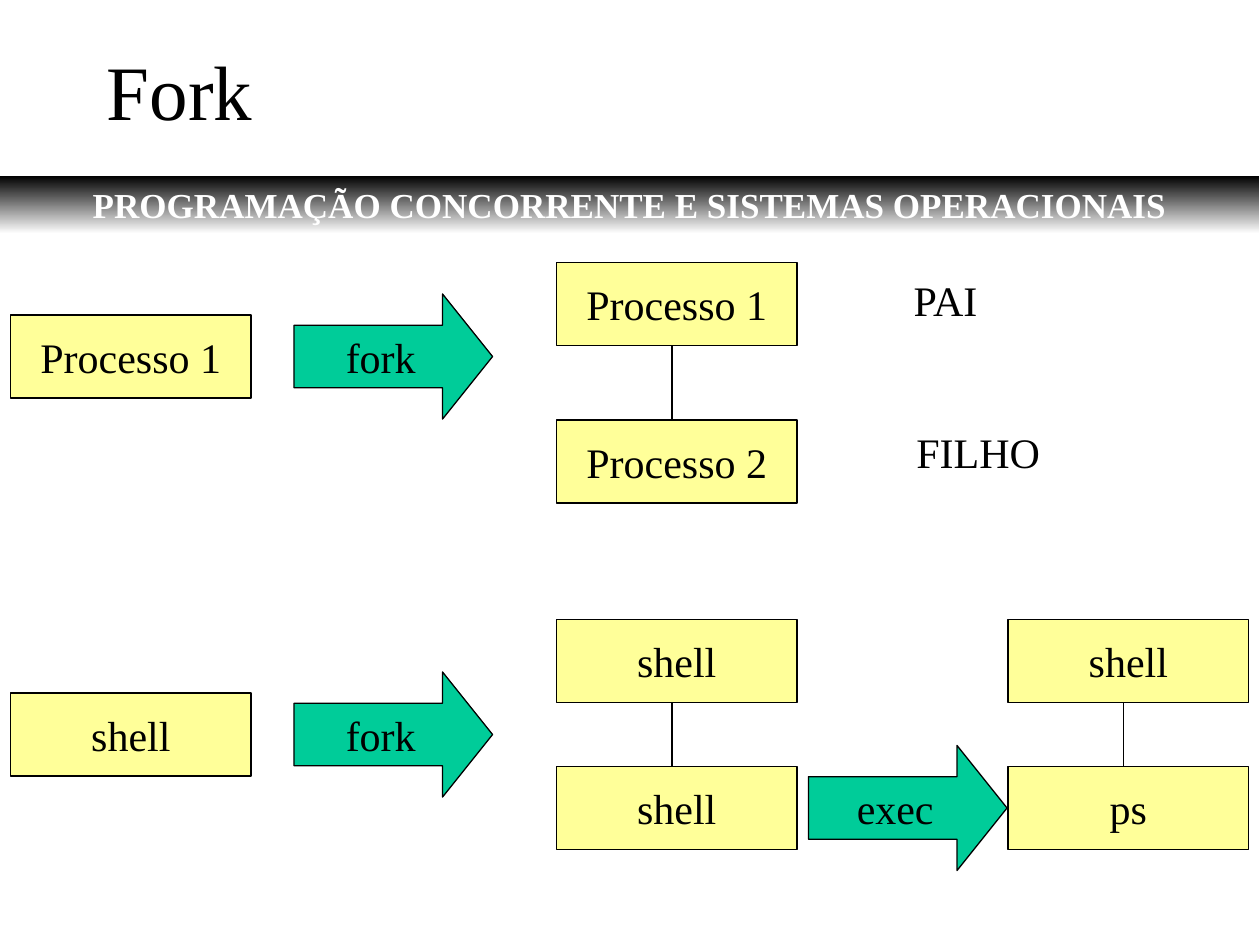
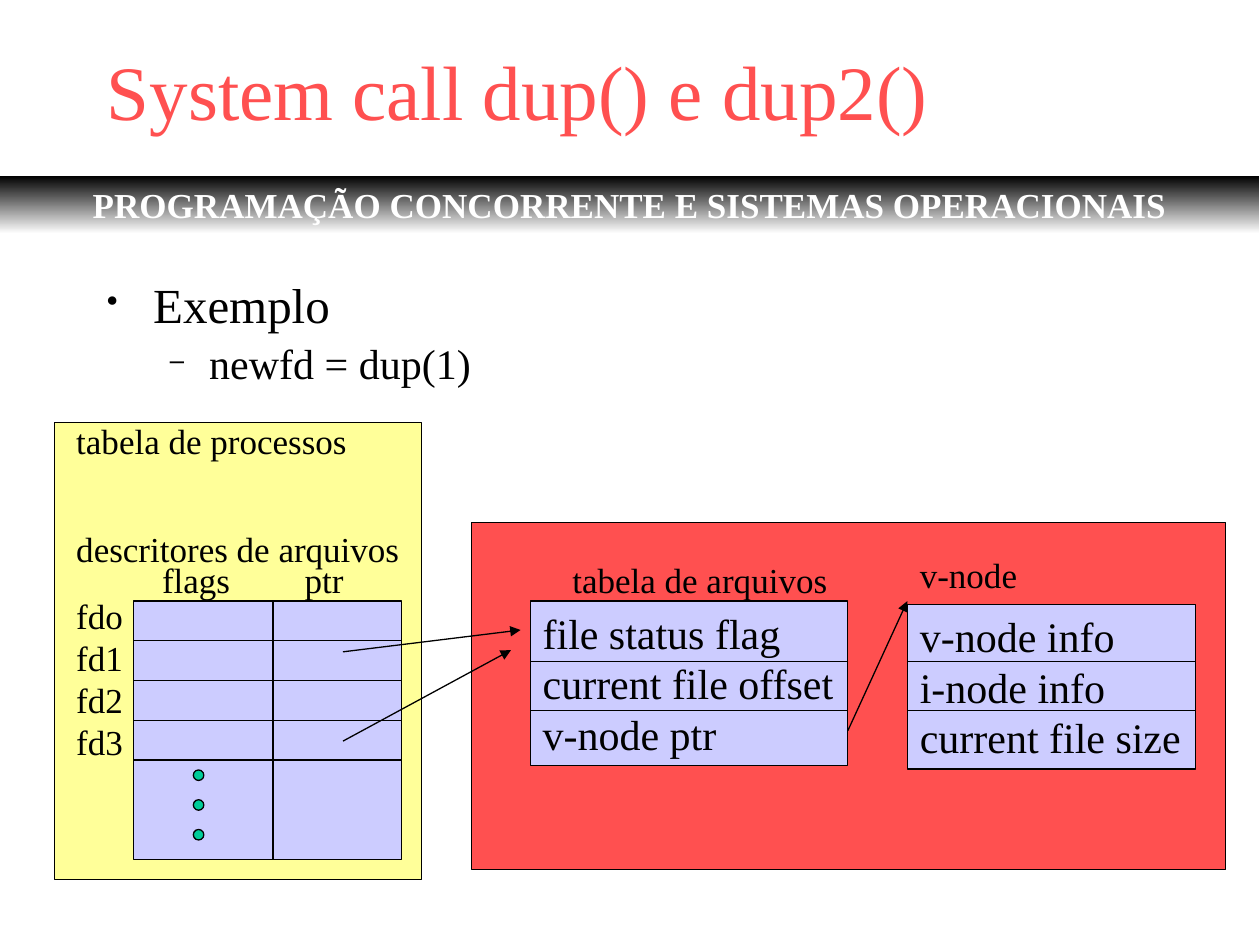
from lxml import etree
from pptx import Presentation
from pptx.dml.color import RGBColor as RGB
from pptx.enum.shapes import MSO_CONNECTOR as LINK, MSO_SHAPE as FORM
from pptx.enum.text import MSO_ANCHOR as ANCHOR, PP_ALIGN as ALIGN
from pptx.oxml.ns import qn
from pptx.util import Pt

BLACK = RGB(0x00, 0x00, 0x00)
WHITE = RGB(0xFF, 0xFF, 0xFF)
RED = RGB(0xFF, 0x50, 0x50)
YELLOW = RGB(0xFF, 0xFF, 0x99)
GREEN = RGB(0x00, 0xCC, 0x99)
LILAC = RGB(0xCC, 0xCC, 0xFF)
FONT = "Times New Roman"
THIN = Pt(0.75)


def put(slide, text, x, y, w, h, form=None, fill=None, size=24, color=BLACK,
        bold=False, align=ALIGN.LEFT, anchor=ANCHOR.TOP, wrap=False):
    """Place text, inside a filled shape when a form is given."""
    area = Pt(x), Pt(y), Pt(w), Pt(h)
    if form is None:
        box = slide.shapes.add_textbox(*area)
    else:
        box = slide.shapes.add_shape(form, *area)
        box.shadow.inherit = False
        box.fill.solid()
        box.fill.fore_color.rgb = fill
        box.line.color.rgb = BLACK
        box.line.width = THIN
    frame = box.text_frame
    frame.word_wrap = wrap
    frame.vertical_anchor = anchor
    frame.text = text
    for par in frame.paragraphs:
        par.alignment = align
        for run in par.runs:
            font = run.font
            font.name, font.size, font.bold = FONT, Pt(size), bold
            font.color.rgb = color
    return box


def link(slide, x1, y1, x2, y2, arrow=False):
    """Draw a thin black line, with an arrowhead at its end if asked."""
    line = slide.shapes.add_connector(LINK.STRAIGHT, Pt(x1), Pt(y1), Pt(x2), Pt(y2))
    line.line.color.rgb = BLACK
    line.line.width = THIN
    props = line._element.spPr
    if arrow:
        etree.SubElement(props.find(qn("a:ln")), qn("a:tailEnd"), type="triangle")
    etree.SubElement(props, qn("a:effectLst"))


deck = Presentation()
deck.slide_width, deck.slide_height = Pt(720), Pt(540)
MID = {"align": ALIGN.CENTER, "anchor": ANCHOR.MIDDLE}

# Title and course band on both slides
pages = []
for title, color in [("Fork", BLACK), ("System call dup() e dup2()", RED)]:
    page = deck.slides.add_slide(deck.slide_layouts[6])
    band = put(page, "PROGRAMAÇÃO CONCORRENTE E SISTEMAS OPERACIONAIS", 0, 100.5,
               719.5, 33, FORM.RECTANGLE, BLACK, size=20, color=WHITE, bold=True, **MID)
    band.line.fill.background()
    band.fill.gradient()
    band.fill.gradient_angle = 270
    for stop, tint in zip(band.fill.gradient_stops, (BLACK, WHITE)):
        stop.color.rgb = tint
    put(page, title, 54, 6, 612, 90, size=44, color=color, anchor=ANCHOR.MIDDLE, wrap=True)
    pages.append(page)
fork, dup = pages

# Fork: processes in three columns
LEFT, CENTER, RIGHT = 6, 318, 576
BOX_W, BOX_H = 137.5, 47.5
for text, x, y in [
    ("Processo 1", LEFT, 180), ("shell", LEFT, 396),
    ("Processo 1", CENTER, 150), ("Processo 2", CENTER, 240),
    ("shell", CENTER, 354), ("shell", CENTER, 438),
    ("shell", RIGHT, 354), ("ps", RIGHT, 438),
]:
    put(fork, text, x, y, BOX_W, BOX_H, FORM.RECTANGLE, YELLOW, **MID)

# Fork: calls as block arrows
for text, x, y in [("fork", 168, 168), ("fork", 168, 384), ("exec", 462, 426)]:
    call = put(fork, text, x, y, 113.5, 71.5, FORM.RIGHT_ARROW, GREEN, **MID)
    call.adjustments[0] = 0.5
    call.adjustments[1] = 0.4

# Fork: parent to child lines and their labels
for x, top, end in [(CENTER, 150, 240), (CENTER, 354, 438), (RIGHT, 354, 438)]:
    link(fork, x + 66, top + BOX_H, x + 66, end)
put(fork, "PAI", 515, 153.5, 52.5, 36)
put(fork, "FILHO", 516.5, 240, 85, 36)

# Dup: example bullets
body = put(dup, "Exemplo\nnewfd = dup(1)", 54, 157, 612, 74, wrap=True)
marks = [("•", 28, 26.5, 26.5, 66, 0), ("–", 24, 58.5, 22.5, 61, 5.5)]
for par, (mark, size, left, hang, scale, gap) in zip(body.text_frame.paragraphs, marks):
    par.line_spacing = 0.9
    par.space_before = Pt(gap)
    par.runs[0].font.size = Pt(size)
    props = par._p.get_or_add_pPr()
    props.set("marL", str(Pt(left)))
    props.set("indent", str(-Pt(hang)))
    etree.SubElement(props, qn("a:buSzPct"), val=str(scale * 1000))
    etree.SubElement(props, qn("a:buChar"), char=mark)

# Dup: process area and kernel area
put(dup, "", 269.5, 298.5, 431, 198.5, FORM.RECTANGLE, RED)
put(dup, "", 31, 241.5, 210, 261, FORM.RECTANGLE, YELLOW)

# Dup: descriptor grid with its ellipsis dots
GRID_X, GRID_Y, GRID_W, GRID_H, ROW = 76.5, 343.5, 153, 147.5, 22.7
put(dup, "", GRID_X, GRID_Y, GRID_W, GRID_H, FORM.RECTANGLE, LILAC)
link(dup, 156, GRID_Y, 156, GRID_Y + GRID_H)
for row in range(1, 5):
    y = GRID_Y + row * ROW
    link(dup, GRID_X, y, GRID_X + GRID_W, y)
for dot in range(3):
    put(dup, "", 110.5, 440 + dot * 17, 6, 6, FORM.OVAL, GREEN)

# Dup: labels
for text, x, y, w, h in [
    ("tabela de processos", 36.5, 236, 169, 31.5),
    ("descritores de arquivos", 36.5, 298, 199, 31.5),
    ("fdo\nfd1\nfd2\nfd3", 36.5, 336, 41, 104),
    ("flags", 85.5, 315.5, 53.5, 31.5),
    ("ptr", 167, 315.5, 36.5, 31.5),
    ("tabela de arquivos", 320, 315.5, 160, 31.5),
    ("v-node table", 518.5, 312.5, 113.5, 31.5),
]:
    put(dup, text, x, y, w, h, size=20)

# Dup: file table and v-node table entries
for text, x, y, w in [
    ("file status flag\ncurrent file offset\nv-node ptr", 303, 343.5, 181.5),
    ("v-node info\ni-node info\ncurrent file size", 518.5, 345.5, 164.5),
]:
    put(dup, text, x, y, w, 94, FORM.RECTANGLE, LILAC)
    for rule in (378, 406):
        link(dup, x, rule, x + w, rule)

# Dup: pointers
for ends in [(196, 372.5, 297.5, 360), (196, 423.5, 292, 371.5), (484.5, 417.5, 518.5, 343.5)]:
    link(dup, *ends, arrow=True)

deck.save("out.pptx")
